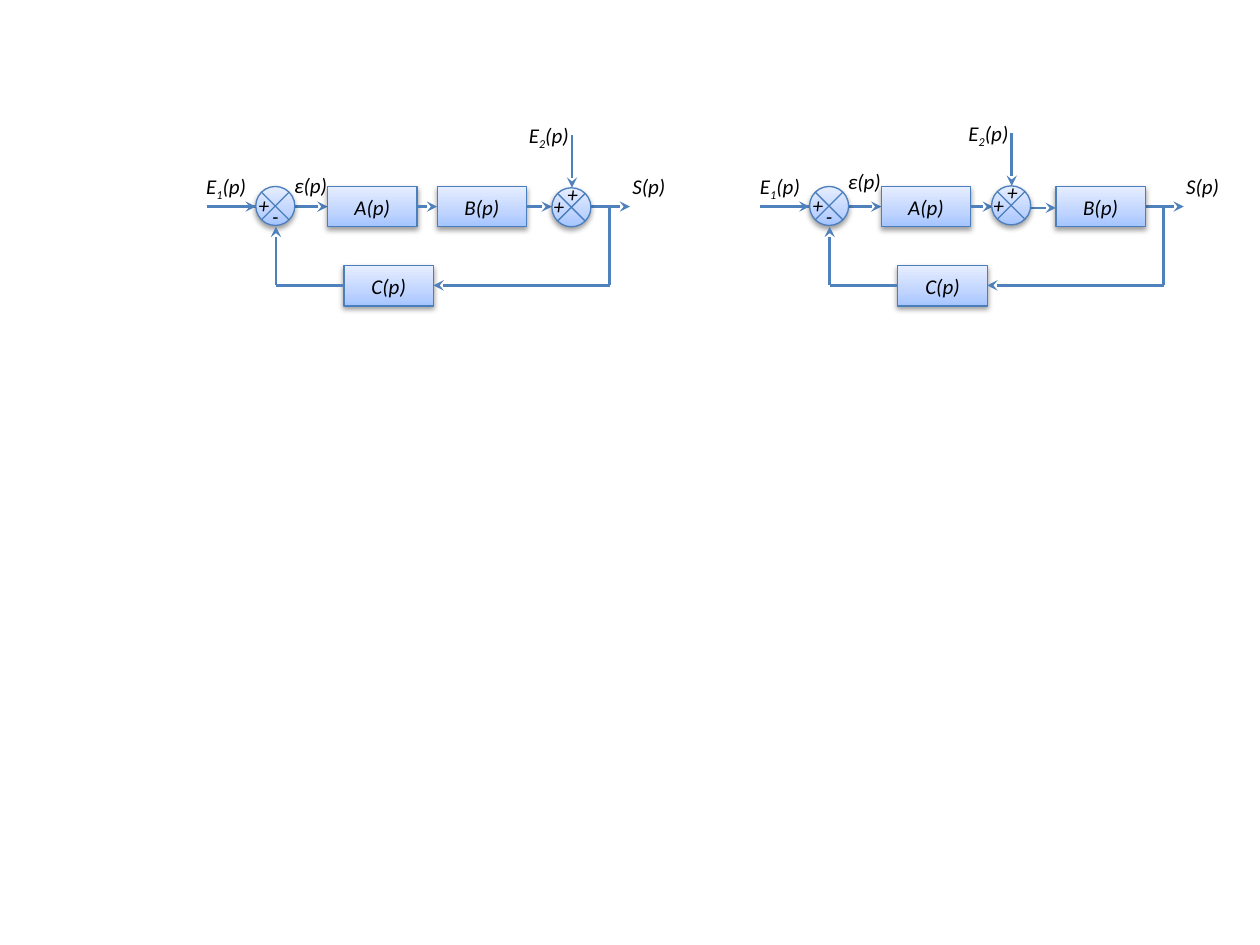
from copy import deepcopy

from lxml import etree
from pptx import Presentation
from pptx.dml.color import RGBColor
from pptx.enum.shapes import MSO_CONNECTOR, MSO_SHAPE
from pptx.enum.text import MSO_ANCHOR, MSO_AUTO_SIZE, PP_ALIGN
from pptx.oxml.ns import qn
from pptx.util import Inches, Pt

STRAIGHT = MSO_CONNECTOR.STRAIGHT
RECTANGLE = MSO_SHAPE.RECTANGLE
JUNCTION = MSO_SHAPE.FLOWCHART_SUMMING_JUNCTION
MIDDLE = MSO_ANCHOR.MIDDLE
FIT_SHAPE = MSO_AUTO_SIZE.SHAPE_TO_FIT_TEXT
CENTER = PP_ALIGN.CENTER

COLUMNS, ROWS = 100, 75
WIDTH, HEIGHT = Inches(10), Inches(7.5)
COLORS = {"text": "000000", "outline": "4B7EBC", "link": "4F81BD",
          "deep": "A4C4FF", "middle": "BFD4FF", "light": "E6EEFF"}
GRADIENT = [(0, "deep"), (0.35, "middle"), (1, "light")]
FONT = {"name": "Calibri", "size": Pt(12), "italic": True}
SHADOW = {"blurRad": Pt(3.1), "dist": Pt(1.6), "dir": 5400000, "rotWithShape": 0}
BLOCK_SIZE = (7.1, 3.2)
JUNCTION_SIZE = (3.1, 3.1)
AXIS, RETURN = 16.4, 22.65


def color(name):
    """Return a named colour."""
    return RGBColor.from_string(COLORS[name])


class Diagram:
    """Draws block diagram elements on a slide, in grid columns and rows."""

    def __init__(self, slide):
        self.slide = slide
        self.shift = 0

    def place(self, column, row):
        """Turn a grid point into slide lengths, moved by the current shift."""
        return (round((column + self.shift) * WIDTH / COLUMNS),
                round(row * HEIGHT / ROWS))

    def size(self, columns, rows):
        """Turn a grid size into slide lengths."""
        return round(columns * WIDTH / COLUMNS), round(rows * HEIGHT / ROWS)

    def add_spans(self, frame, spans):
        """Fill a frame with centred spans, every second one as a subscript."""
        para = frame.paragraphs[0]
        para.alignment = CENTER
        for index, text in enumerate(spans):
            span = para.add_run()
            span.text = text
            for name, value in FONT.items():
                setattr(span.font, name, value)
            span.font.color.rgb = color("text")
            if index % 2:
                span._r.get_or_add_rPr().set("baseline", "-25000")

    def solid(self, kind, column, row, size):
        """Add a shape with the gradient fill, thin outline and soft shadow."""
        shape = self.slide.shapes.add_shape(
            kind, *self.place(column, row), *self.size(*size))
        shape.fill.gradient()
        shape.fill.gradient_angle = 90
        properties = shape._element.spPr
        stops = properties.find(".//" + qn("a:gsLst"))
        stops.append(deepcopy(stops[0]))
        for stop, (position, name) in zip(shape.fill.gradient_stops, GRADIENT):
            stop.position = position
            stop.color.rgb = color(name)
        shape.line.color.rgb = color("outline")
        shape.line.width = Pt(0.75)
        shape.shadow.inherit = False
        shadow = etree.SubElement(properties.find(qn("a:effectLst")), qn("a:outerShdw"))
        for name, value in SHADOW.items():
            shadow.set(name, str(value))
        tone = etree.SubElement(shadow, qn("a:srgbClr"), val=COLORS["text"])
        etree.SubElement(tone, qn("a:alpha"), val="38000")
        return shape

    def block(self, text, column, row=14.8):
        """Add a transfer function block."""
        frame = self.solid(RECTANGLE, column, row, BLOCK_SIZE).text_frame
        frame.vertical_anchor = MIDDLE
        self.add_spans(frame, [text])

    def label(self, column, row, width, *spans):
        """Add a signal name or sign."""
        box = self.slide.shapes.add_textbox(
            *self.place(column, row), *self.size(width, 3))
        box.text_frame.word_wrap = False
        box.text_frame.auto_size = FIT_SHAPE
        self.add_spans(box.text_frame, spans)

    def link(self, start, end, arrow=True):
        """Add a straight signal line, with an arrowhead at its end."""
        line = self.slide.shapes.add_connector(
            STRAIGHT, *self.place(*start), *self.place(*end))
        line.line.color.rgb = color("link")
        line.line.width = Pt(1.5)
        if arrow:
            etree.SubElement(line.line._ln, qn("a:tailEnd"), type="stealth")
        etree.SubElement(line._element.spPr, qn("a:effectLst"))

    def adder(self, column, row):
        """Add the junction where the second input enters from above."""
        self.solid(JUNCTION, column, row, JUNCTION_SIZE)
        self.label(column + 0.2, row - 1, 2.9, "+")
        self.label(column - 0.9, row, 2.9, "+")
        self.link((column + 1.6, row - 4.2), (column + 1.6, row))
        self.label(column - 2.9, row - 5.7, 5.3, "E", "2", "(p)")

    def loop(self, shift, error_row):
        """Add the parts that both feedback loops share."""
        self.shift = shift
        self.link((16.7, AXIS), (26, AXIS))
        self.solid(JUNCTION, 20.3, 14.8, JUNCTION_SIZE)
        self.link((16.4, AXIS), (20.3, AXIS))
        self.block("A(p)", 26)
        self.block("C(p)", 27.3, 21.1)
        self.link((21.9, RETURN), (21.9, 18))
        self.link((27.3, RETURN), (21.9, RETURN), arrow=False)
        self.link((48.4, RETURN), (34.4, RETURN))
        self.link((48.4, AXIS), (48.4, RETURN), arrow=False)
        self.link((46.9, AXIS), (50, AXIS))
        self.label(15.3, 13.3, 5.3, "E", "1", "(p)")
        self.label(49.2, 13.3, 4.6, "S(p)")
        self.label(19.5, 14.8, 2.9, "+")
        self.label(20.6, 15.7, 2.5, "-")
        self.label(22.3, error_row, 4.7, "ε(p)")
        self.shift = 0


def main():
    """Build the slide with the two feedback loops."""
    deck = Presentation()
    deck.slide_width, deck.slide_height = WIDTH, HEIGHT
    diagram = Diagram(deck.slides.add_slide(deck.slide_layouts[6]))

    diagram.loop(0, 13.2)
    diagram.block("B(p)", 34.7)
    diagram.link((33.1, AXIS), (34.7, AXIS))
    diagram.link((41.8, AXIS), (43.8, AXIS))
    diagram.adder(43.8, 14.9)

    diagram.loop(43.95, 12.9)
    diagram.block("B(p)", 83.8)
    diagram.link((77, AXIS), (78.8, AXIS))
    diagram.link((81.8, 16.5), (83.8, 16.5))
    diagram.adder(78.7, 14.75)

    deck.save("out.pptx")


if __name__ == "__main__":
    main()
